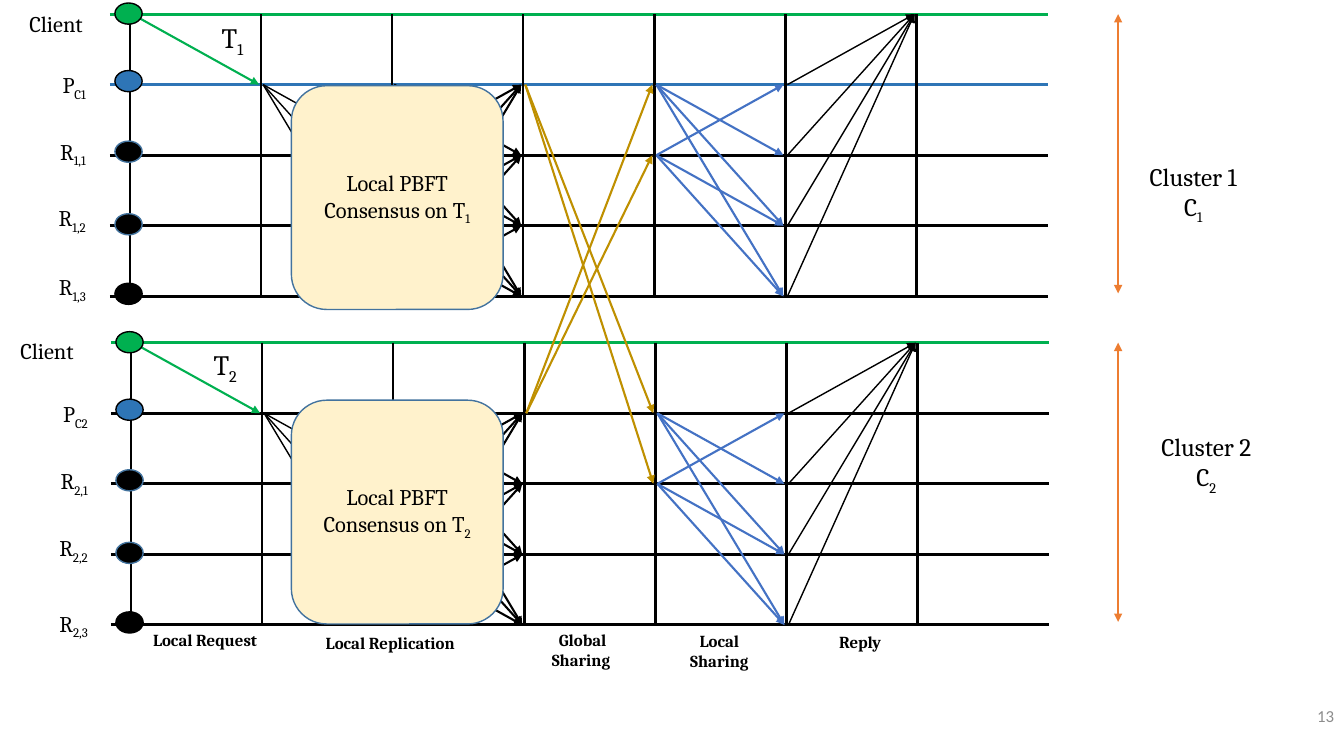
"""Build the slide showing two replica clusters reaching consensus and sharing it globally."""
import dataclasses

import pptx
import pptx.dml.color
import pptx.enum.shapes
import pptx.enum.text
import pptx.oxml
import pptx.oxml.ns
import pptx.util

Inches = pptx.util.Inches
Align = pptx.enum.text.PP_ALIGN
Anchor = pptx.enum.text.MSO_ANCHOR
Shapes = pptx.enum.shapes.MSO_SHAPE


@dataclasses.dataclass(frozen=True)
class Theme:
    black: str = "000000"
    green: str = "00B050"
    blue: str = "2E75B6"
    outline: str = "43739E"
    cream: str = "FFF2CC"
    gold: str = "BF9000"
    sharing: str = "4472C4"
    orange: str = "ED7D31"
    gray: str = "8C8C8C"
    font: str = "Cambria"
    number_font: str = "Calibri"
    small: int = 12
    body: int = 16
    cluster: int = 18
    request: int = 20


theme = Theme()
presentation = pptx.Presentation()
presentation.slide_width = Inches(13.33)
presentation.slide_height = Inches(7.5)
slide = presentation.slides.add_slide(presentation.slide_layouts[6])


def write_text(text, *, box=None, shape=None, size=theme.body, align=Align.RIGHT, anchor=Anchor.TOP,
               wrap=False, bold=False, color=theme.black, font=theme.font):
    """Write lines into a shape or a new text box; what follows an underscore is a subscript."""
    if shape is None:
        shape = slide.shapes.add_textbox(*map(Inches, box))
        shape.text_frame.auto_size = pptx.enum.text.MSO_AUTO_SIZE.SHAPE_TO_FIT_TEXT
    frame = shape.text_frame
    frame.word_wrap = wrap
    frame.vertical_anchor = anchor
    for index, line in enumerate(text.split("\n")):
        paragraph = frame.add_paragraph() if index else frame.paragraphs[0]
        paragraph.alignment = align
        for position, part in enumerate(line.split("_")):
            run = paragraph.add_run()
            run.text = part
            run.font.name = font
            run.font.size = pptx.util.Pt(size)
            run.font.bold = bold
            run.font.color.rgb = pptx.dml.color.RGBColor.from_string(color)
            if position:
                run.font._element.set("baseline", "-25000")


def draw_line(start, end, color, width, arrows=()):
    """Draw a straight line, with arrowheads at the ends named in arrows."""
    line = slide.shapes.add_connector(pptx.enum.shapes.MSO_CONNECTOR.STRAIGHT, *map(Inches, (*start, *end)))
    line.line.color.rgb = pptx.dml.color.RGBColor.from_string(color)
    line.line.width = pptx.util.Pt(width)
    for arrow in arrows:
        head = pptx.oxml.parse_xml(f'<a:{arrow} {pptx.oxml.ns.nsdecls("a")} type="triangle"/>')
        line.line._get_or_add_ln().append(head)
    line._element.spPr.append(pptx.oxml.parse_xml(f'<a:effectLst {pptx.oxml.ns.nsdecls("a")}/>'))


row_gap, column_gap, arrow_gap = 0.7, 1.3, 0.02
replicas = range(1, 5)
node_offsets = (-0.11, 0.56, 1.26, 1.98, 2.67)
node_fills = (theme.green, theme.blue, theme.black, theme.black, theme.black)
node_outlines = (theme.black, theme.black, theme.outline, theme.outline, theme.black)

message_steps = [(0, 0, 1, 1, theme.green, 1.5)]
message_steps += [(1, 1, 2, target, theme.black, 1) for target in replicas[1:]]
message_steps += [(2, source, 3, target, theme.black, 1.5)
                  for source in replicas for target in replicas if source != target]
message_steps += [(4, source, 5, target, theme.sharing, 1.5)
                  for source in (1, 2) for target in replicas if source != target]
message_steps += [(5, source, 6, 0, theme.black, 1) for source in replicas]

clusters = [
    dict(number=1, left=1.29, top=0.14, primary=theme.blue, label_right=0.95, client_right=0.92,
         label_tops=(0.05, 0.66, 1.32, 1.98, 2.66), consensus_top=0.85,
         request=(2.1, 0.15, 0.61, 0.44), name=(11.22, 1.55, 1.23, 0.71)),
    dict(number=2, left=1.3, top=3.4, primary=theme.black, label_right=0.97, client_right=0.83,
         label_tops=(3.3, 3.92, 4.59, 5.25, 6), consensus_top=3.97,
         request=(2.02, 3.4, 0.61, 0.44), name=(11.36, 4.23, 1.21, 0.71)),
]

for cluster in clusters:
    number, left, top = cluster["number"], cluster["left"], cluster["top"]
    bottom = top + 4 * row_gap
    timeline_colors = (theme.green, cluster["primary"], theme.black, theme.black, theme.black)
    for row, color in enumerate(timeline_colors):
        y = top + row * row_gap
        draw_line((left - 0.2, y), (left + 9.1, y), color, 2.25)
    for column in range(7):
        x = left + column * column_gap
        draw_line((x, top), (x, bottom), theme.black, 1.75)

    for from_column, from_row, to_column, to_row, color, width in message_steps:
        start = (left + from_column * column_gap + arrow_gap, top + from_row * row_gap)
        end = (left + to_column * column_gap - arrow_gap, top + to_row * row_gap)
        draw_line(start, end, color, width, ["tailEnd"])

    for offset, fill, outline in zip(node_offsets, node_fills, node_outlines):
        node = slide.shapes.add_shape(Shapes.OVAL, *map(Inches, (left - 0.15, top + offset, 0.27, 0.21)))
        node.shadow.inherit = False
        node.fill.solid()
        node.fill.fore_color.rgb = pptx.dml.color.RGBColor.from_string(fill)
        node.line.color.rgb = pptx.dml.color.RGBColor.from_string(outline)
        node.line.width = pptx.util.Pt(1)

    labels = ["Client", f"P_C{number}"] + [f"R_{number},{replica}" for replica in (1, 2, 3)]
    for label, label_top in zip(labels, cluster["label_tops"]):
        width, right = (0.8, cluster["client_right"]) if label == "Client" else (0.54, cluster["label_right"])
        write_text(label, box=(right - width, label_top, width, 0.37))

    consensus = slide.shapes.add_shape(Shapes.ROUNDED_RECTANGLE,
                                       *map(Inches, (2.89, cluster["consensus_top"], 2.1, 2.22)))
    consensus.shadow.inherit = False
    consensus.fill.solid()
    consensus.fill.fore_color.rgb = pptx.dml.color.RGBColor.from_string(theme.cream)
    consensus.line.color.rgb = pptx.dml.color.RGBColor.from_string(theme.outline)
    consensus.line.width = pptx.util.Pt(1)
    write_text(f"Local PBFT Consensus on T_{number}", shape=consensus, align=Align.CENTER,
               anchor=Anchor.MIDDLE, wrap=True)

    write_text(f"T_{number}", box=cluster["request"], size=theme.request, align=Align.LEFT, wrap=True)
    write_text(f"Cluster {number}\nC_{number}", box=cluster["name"], size=theme.cluster, align=Align.CENTER)
    draw_line((11.09, top), (11.09, bottom - 0.03), theme.orange, 1.5, ["headEnd", "tailEnd"])

for sender, receiver in (clusters, clusters[::-1]):
    for row in (1, 2):
        start = (sender["left"] + 3 * column_gap + arrow_gap, sender["top"] + row_gap)
        end = (receiver["left"] + 4 * column_gap - arrow_gap, receiver["top"] + row * row_gap)
        draw_line(start, end, theme.gold, 1.5, ["tailEnd"])

phases = [
    ("Local Request", (1.37, 6.2, 1.28, 0.3), Align.RIGHT),
    ("Local Replication", (3.07, 6.23, 1.54, 0.3), Align.RIGHT),
    ("Global \nSharing", (5.34, 6.2, 0.81, 0.5), Align.RIGHT),
    ("Local\nSharing", (6.73, 6.21, 0.81, 0.5), Align.CENTER),
    ("Reply", (8.18, 6.22, 0.66, 0.3), Align.RIGHT),
]
for phase, box, align in phases:
    write_text(phase, box=box, size=theme.small, align=align, bold=True)

write_text("13", box=(11.63, 6.9, 1.7, 0.4), size=theme.small, anchor=Anchor.MIDDLE, wrap=True,
           color=theme.gray, font=theme.number_font)

presentation.save("out.pptx")
